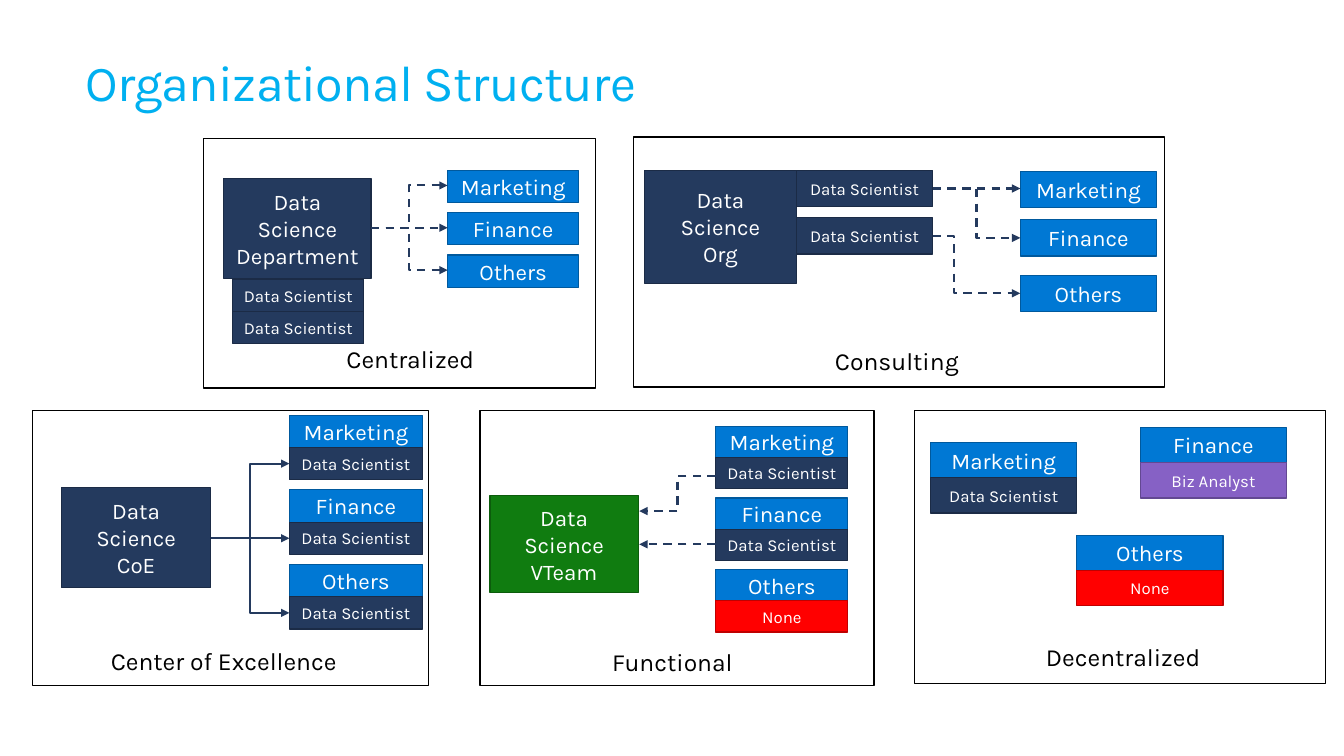
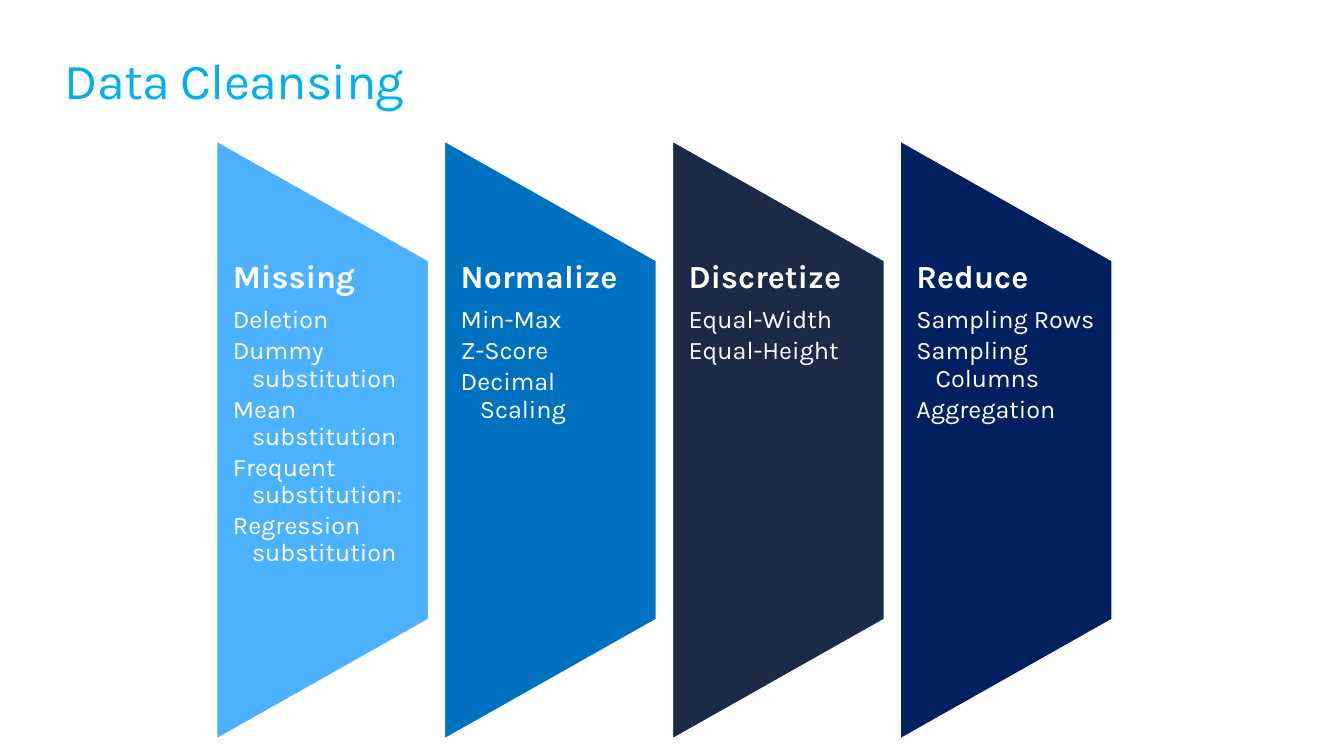
from pptx import Presentation
from pptx.dml.color import RGBColor
from pptx.enum.dml import MSO_LINE
from pptx.enum.shapes import MSO_CONNECTOR, MSO_SHAPE
from pptx.enum.text import MSO_ANCHOR, MSO_AUTO_SIZE, PP_ALIGN
from pptx.oxml.ns import qn
from pptx.util import Inches, Pt
from lxml import etree

RECTANGLE = MSO_SHAPE.RECTANGLE
MANUAL_OPERATION = MSO_SHAPE.FLOWCHART_MANUAL_OPERATION
STRAIGHT, ELBOW = MSO_CONNECTOR.STRAIGHT, MSO_CONNECTOR.ELBOW
DASH = MSO_LINE.DASH
MIDDLE = MSO_ANCHOR.MIDDLE
GROW = MSO_AUTO_SIZE.SHAPE_TO_FIT_TEXT
LEFT, CENTER = PP_ALIGN.LEFT, PP_ALIGN.CENTER

FONT = "Karla"
WHITE, BLACK, SKY = "FFFFFF", "000000", "00B0F0"
NAVY, DARK_NAVY = "243A5E", "1B2B46"
BLUE, GREEN = ("0078D4", "00599D"), ("107C10", "0C5C0C")
PURPLE, RED = ("8661C5", "634892"), ("FF0000", "C00000")
TEAM = (NAVY, DARK_NAVY)

UNITS = ["Marketing", "Finance", "Others"]
SCIENTIST = "Data Scientist"
CELL_STYLES = {SCIENTIST: (TEAM, 12), "Biz Analyst": (PURPLE, 12), "None": (RED, 12)}

STEPS = [
    ("4CB1FF", "Missing", ["Deletion", "Dummy substitution", "Mean substitution",
                           "Frequent substitution:", "Regression substitution"]),
    ("0070C0", "Normalize", ["Min-Max", "Z-Score", "Decimal Scaling"]),
    (DARK_NAVY, "Discretize", ["Equal-Width", "Equal-Height"]),
    ("002060", "Reduce", ["Sampling Rows", "Sampling Columns", "Aggregation"]),
]


def color(value):
    return RGBColor.from_string(value)


def add_text(para, text, size=16, fill=WHITE, bold=False, align=LEFT, spacing=None,
             line=None, after=None, hanging=0):
    para.alignment = align
    if line:
        para.line_spacing = line
    if after is not None:
        para.space_after = Pt(after)
    if hanging:
        para.level = 1
        properties = para._p.get_or_add_pPr()
        properties.set("marL", str(Inches(hanging)))
        properties.set("indent", str(-Inches(hanging)))
    span = para.add_run()
    span.text = text
    span.font.name = FONT
    span.font.size = Pt(size)
    span.font.bold = bold
    span.font.color.rgb = color(fill)
    if spacing is not None:
        span._r.get_or_add_rPr().set("spc", str(spacing))


class Slides:
    def __init__(self):
        self.deck = Presentation()
        self.deck.slide_width = Inches(13.33)
        self.deck.slide_height = Inches(7.5)
        self.page = None

    def start(self, title, left, top):
        self.page = self.deck.slides.add_slide(self.deck.slide_layouts[6])
        frame = self.text_box(left, top, 12.05, 0.61, margins=(0, 0), grow=True)
        add_text(frame.paragraphs[0], title, size=36, fill=SKY, spacing=-50)

    def text_box(self, left, top, width, height, margins=(0.1, 0.05), grow=False):
        box = self.page.shapes.add_textbox(
            Inches(left), Inches(top), Inches(width), Inches(height))
        frame = box.text_frame
        frame.word_wrap = True
        frame.margin_left = frame.margin_right = Inches(margins[0])
        frame.margin_top = frame.margin_bottom = Inches(margins[1])
        if grow:
            frame.auto_size = GROW
        return frame

    def shape(self, left, top, width, height, colors, kind=RECTANGLE):
        shape = self.page.shapes.add_shape(
            kind, Inches(left), Inches(top), Inches(width), Inches(height))
        fill, outline = colors
        shape.shadow.inherit = False
        shape.fill.solid()
        shape.fill.fore_color.rgb = color(fill)
        shape.line.color.rgb = color(outline)
        shape.line.width = Pt(0.85)
        return shape

    def block(self, left, top, width, height, lines, colors, size=16):
        frame = self.shape(left, top, width, height, colors).text_frame
        frame.word_wrap = True
        frame.vertical_anchor = MIDDLE
        for index, text in enumerate(lines):
            para = frame.add_paragraph() if index else frame.paragraphs[0]
            add_text(para, text, size=size, align=CENTER)

    def stack(self, left, top, width, height, labels, pitch=None):
        for index, label in enumerate(labels):
            colors, size = CELL_STYLES.get(label, (BLUE, 16))
            self.block(left, top + index * (pitch or height), width, height,
                       [label], colors, size)

    def panel(self, left, top, width, height, caption, caption_at):
        self.shape(left, top, width, height, (WHITE, BLACK))
        frame = self.text_box(*caption_at, 0.4, grow=True)
        add_text(frame.paragraphs[0], caption, size=17.6, fill=BLACK, align=CENTER)

    def arrow(self, x1, y1, x2, y2, dashed=True, bend=None):
        connector = self.page.shapes.add_connector(
            STRAIGHT if y1 == y2 else ELBOW,
            Inches(x1), Inches(y1), Inches(x2), Inches(y2))
        connector.line.color.rgb = color(NAVY)
        connector.line.width = Pt(1.5)
        if dashed:
            connector.line.dash_style = DASH
        properties = connector._element.spPr
        etree.SubElement(properties.find(qn("a:ln")), qn("a:tailEnd"), type="triangle")
        etree.SubElement(properties, qn("a:effectLst"))
        if bend is not None:
            guides = properties.find(qn("a:prstGeom")).get_or_add_avLst()
            etree.SubElement(guides, qn("a:gd"), name="adj1",
                             fmla=f"val {round(bend * 100000)}")

    def fan(self, x1, x2, y, pitch, dashed):
        for step in (-1, 1, 0):
            self.arrow(x1, y, x2, y + step * pitch, dashed)

    def step(self, left, fill, heading, items):
        top, width, height = 1.4, 2.1, 5.93
        shape = self.shape(left + (width - height) / 2, top + (height - width) / 2,
                           height, width, (fill, WHITE), MANUAL_OPERATION)
        shape.rotation = 270
        frame = self.text_box(left, 2.59, width, 3.56, margins=(0.16, 0))
        add_text(frame.paragraphs[0], heading, size=23, bold=True, line=0.9, after=8)
        for item in items:
            add_text(frame.add_paragraph(), item, size=18, line=0.9, after=2.7,
                     hanging=0.19)


def centralized(slides):
    slides.panel(2.02, 1.37, 3.89, 2.48, "Centralized", (2.23, 3.36, 3.68))
    slides.stack(4.44, 1.69, 1.3, 0.32, UNITS, pitch=0.42)
    slides.block(2.22, 1.77, 1.46, 0.99, ["Data Science", "Department"], TEAM)
    slides.stack(2.31, 2.77, 1.3, 0.32, [SCIENTIST] * 2)
    slides.fan(3.68, 4.44, 2.26, 0.42, dashed=True)


def consulting(slides):
    slides.panel(6.28, 1.36, 5.27, 2.48, "Consulting", (7, 3.38, 3.79))
    slides.block(6.39, 1.69, 1.51, 1.12, ["Data Science", "Org"], TEAM)
    slides.stack(7.9, 1.69, 1.35, 0.36, [SCIENTIST] * 2, pitch=0.47)
    for top, unit in zip((1.7, 2.18, 2.73), UNITS):
        slides.stack(10.12, top, 1.35, 0.36, [unit])
    slides.arrow(9.25, 1.87, 10.12, 2.36)
    slides.arrow(9.25, 1.87, 10.12, 1.87)
    slides.arrow(9.25, 2.34, 10.12, 2.91, bend=0.24)


def center_of_excellence(slides):
    slides.panel(0.32, 4.07, 3.93, 2.73, "Center of Excellence", (0.36, 6.36, 3.72))
    for index, unit in enumerate(UNITS):
        slides.stack(2.87, 4.12 + index * 0.74, 1.32, 0.32, [unit, SCIENTIST])
    slides.block(0.61, 4.84, 1.48, 0.99, ["Data Science", "CoE"], TEAM)
    slides.fan(2.09, 2.87, 5.34, 0.74, dashed=False)


def functional(slides):
    slides.panel(4.76, 4.07, 3.91, 2.73, "Functional", (4.82, 6.37, 3.7))
    for index, (unit, staff) in enumerate(zip(UNITS, (SCIENTIST, SCIENTIST, "None"))):
        slides.stack(7.1, 4.23 + index * 0.71, 1.31, 0.31, [unit, staff])
    slides.block(4.86, 4.92, 1.47, 0.96, ["Data Science", "VTeam"], GREEN)
    slides.arrow(7.1, 4.72, 6.34, 5.07)
    slides.arrow(7.1, 5.4, 6.34, 5.4)


def decentralized(slides):
    slides.panel(9.07, 4.07, 4.08, 2.71, "Decentralized", (9.1, 6.32, 4.08))
    places = [(9.23, 4.39), (11.31, 4.24), (10.68, 5.31)]
    for (left, top), unit, staff in zip(places, UNITS, (SCIENTIST, "Biz Analyst", "None")):
        slides.stack(left, top, 1.45, 0.35, [unit, staff])


def main():
    slides = Slides()
    slides.start("Organizational Structure", 0.85, 0.51)
    for structure in (centralized, consulting, center_of_excellence, functional,
                      decentralized):
        structure(slides)

    slides.start("Data Cleansing", 0.64, 0.49)
    for index, (fill, heading, items) in enumerate(STEPS):
        slides.step(2.15 + index * 2.26, fill, heading, items)
    slides.deck.save("out.pptx")


if __name__ == "__main__":
    main()
